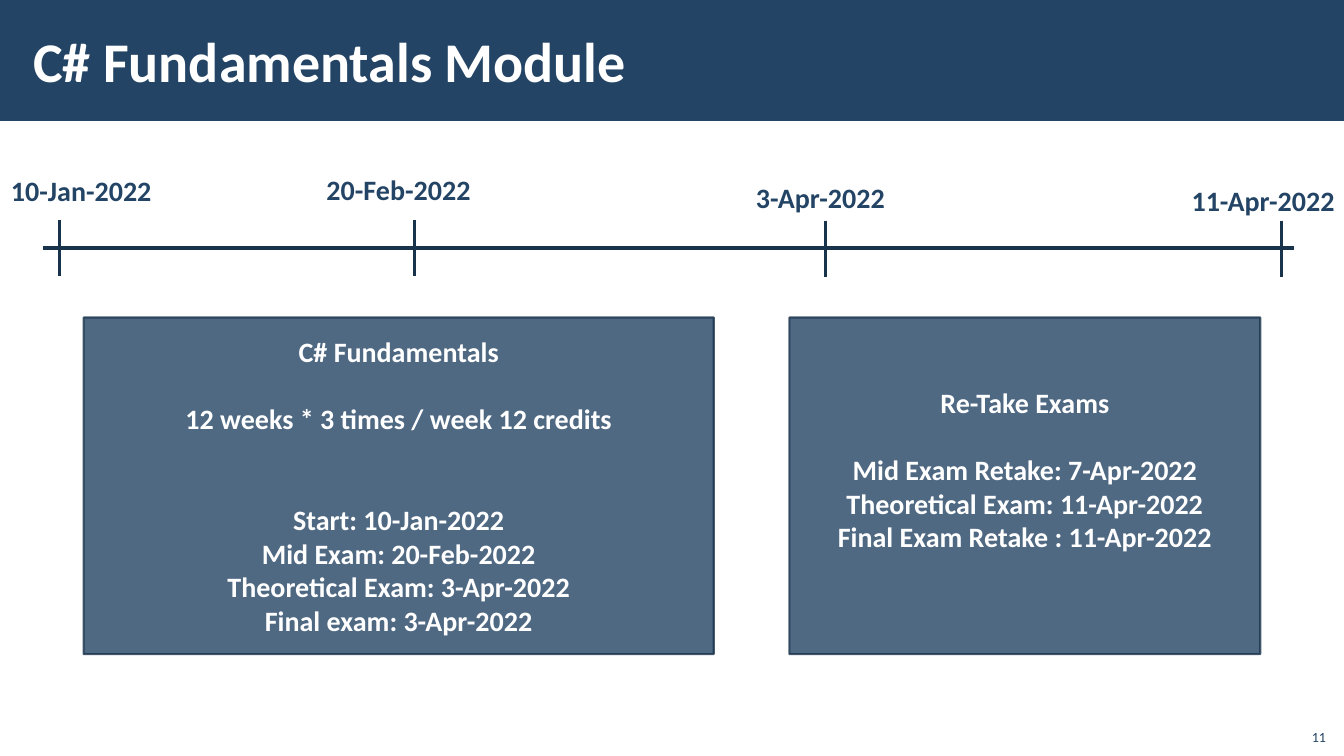
"""Build the C# Fundamentals Module timeline slide."""
from lxml import etree
from pptx import Presentation
from pptx.dml.color import RGBColor
from pptx.enum.shapes import MSO_CONNECTOR, MSO_SHAPE
from pptx.enum.text import MSO_ANCHOR, PP_ALIGN
from pptx.oxml.ns import qn
from pptx.util import Inches, Pt

NAVY = RGBColor(0x23, 0x44, 0x65)
DARK = RGBColor(0x1A, 0x33, 0x4C)
WHITE = RGBColor(0xFF, 0xFF, 0xFF)
RECT = MSO_SHAPE.RECTANGLE
STRAIGHT = MSO_CONNECTOR.STRAIGHT
TOP, MIDDLE, BOTTOM = MSO_ANCHOR.TOP, MSO_ANCHOR.MIDDLE, MSO_ANCHOR.BOTTOM
LEFT, CENTER, RIGHT = PP_ALIGN.LEFT, PP_ALIGN.CENTER, PP_ALIGN.RIGHT
LINE_HEIGHT = 24


def add_paragraph(tf, text, size=20, color=NAVY, bold=True, align=LEFT, after=0):
    p = tf.paragraphs[0] if not tf.text else tf.add_paragraph()
    p.alignment = align
    p.space_after = Pt(after)
    r = p.add_run()
    r.text = text
    r.font.name = "Calibri"
    r.font.size = Pt(size)
    r.font.bold = bold
    r.font.color.rgb = color


def add_text(box, text, anchor=TOP, wrap=True, **style):
    tb = s.shapes.add_textbox(*map(Inches, box))
    tf = tb.text_frame
    tf.word_wrap = wrap
    tf.vertical_anchor = anchor
    add_paragraph(tf, text, **style)
    return tf


prs = Presentation()
prs.slide_width, prs.slide_height = Inches(13.33), Inches(7.5)
s = prs.slides.add_slide(prs.slide_layouts[6])

header = s.shapes.add_shape(RECT, 0, 0, prs.slide_width, Inches(1.2))
header.shadow.inherit = False
header.fill.solid()
header.fill.fore_color.rgb = NAVY
header.line.fill.background()

title = add_text((0.21, 0.11, 10.63, 0.97), "C# Fundamentals Module",
                 anchor=MIDDLE, size=40, color=WHITE)
title.margin_left = title.margin_right = Inches(0.12)
title.margin_top = title.margin_bottom = Inches(0.04)

axis = (0.43, 2.46, 12.83, 2.46)
ticks = [(x, y, x, y + 0.56)
         for x, y in ((0.59, 2.18), (4.11, 2.18), (8.19, 2.19), (12.71, 2.19))]
for ends in [axis, *ticks]:
    c = s.shapes.add_connector(STRAIGHT, *map(Inches, ends))
    c.line.color.rgb = DARK
    c.line.width = Pt(2.25)
    etree.SubElement(c._element.spPr, qn("a:effectLst"))

dates = [
    ("10-Jan-2022", 0.01, 1.67, 1.61),
    ("20-Feb-2022", 3.14, 1.66, 1.64),
    ("3-Apr-2022", 7.4, 1.74, 1.7),
    ("11-Apr-2022", 11.72, 1.77, 1.65),
]
for date, x, y, width in dates:
    add_text((x, y, width, 0.44), date, wrap=False)

panels = [
    (0.83, 6.25, 0.05, [
        ("C# Fundamentals", 1),
        ("12 weeks * 3 times / week 12 credits", 2),
        ("Start: 10-Jan-2022", 0),
        ("Mid Exam: 20-Feb-2022", 0),
        ("Theoretical Exam: 3-Apr-2022", 0),
        ("Final exam: 3-Apr-2022", 0),
    ]),
    (7.83, 4.67, 0.38, [
        ("Re-Take Exams", 1),
        ("Mid Exam Retake: 7-Apr-2022", 0),
        ("Тheoretical Exam: 11-Apr-2022", 0),
        ("Final Exam Retake : 11-Apr-2022", 0),
    ]),
]
for x, width, bottom_margin, lines in panels:
    panel = s.shapes.add_shape(RECT, *map(Inches, (x, 3.15, width, 3.34)))
    panel.shadow.inherit = False
    panel.fill.solid()
    panel.fill.fore_color.rgb = NAVY
    panel.line.color.rgb = DARK
    panel.line.width = Pt(1.5)
    for color in panel._element.spPr.iter(qn("a:srgbClr")):
        etree.SubElement(color, qn("a:alpha"), val="80000")
    tf = panel.text_frame
    tf.word_wrap = True
    tf.vertical_anchor = MIDDLE
    tf.margin_bottom = Inches(bottom_margin)
    for text, gap_lines in lines:
        add_paragraph(tf, text, color=WHITE, align=CENTER, after=gap_lines * LINE_HEIGHT)

add_text((12.85, 7.12, 0.4, 0.32), "11", anchor=BOTTOM, size=10, bold=False, align=RIGHT)

prs.save("out.pptx")
